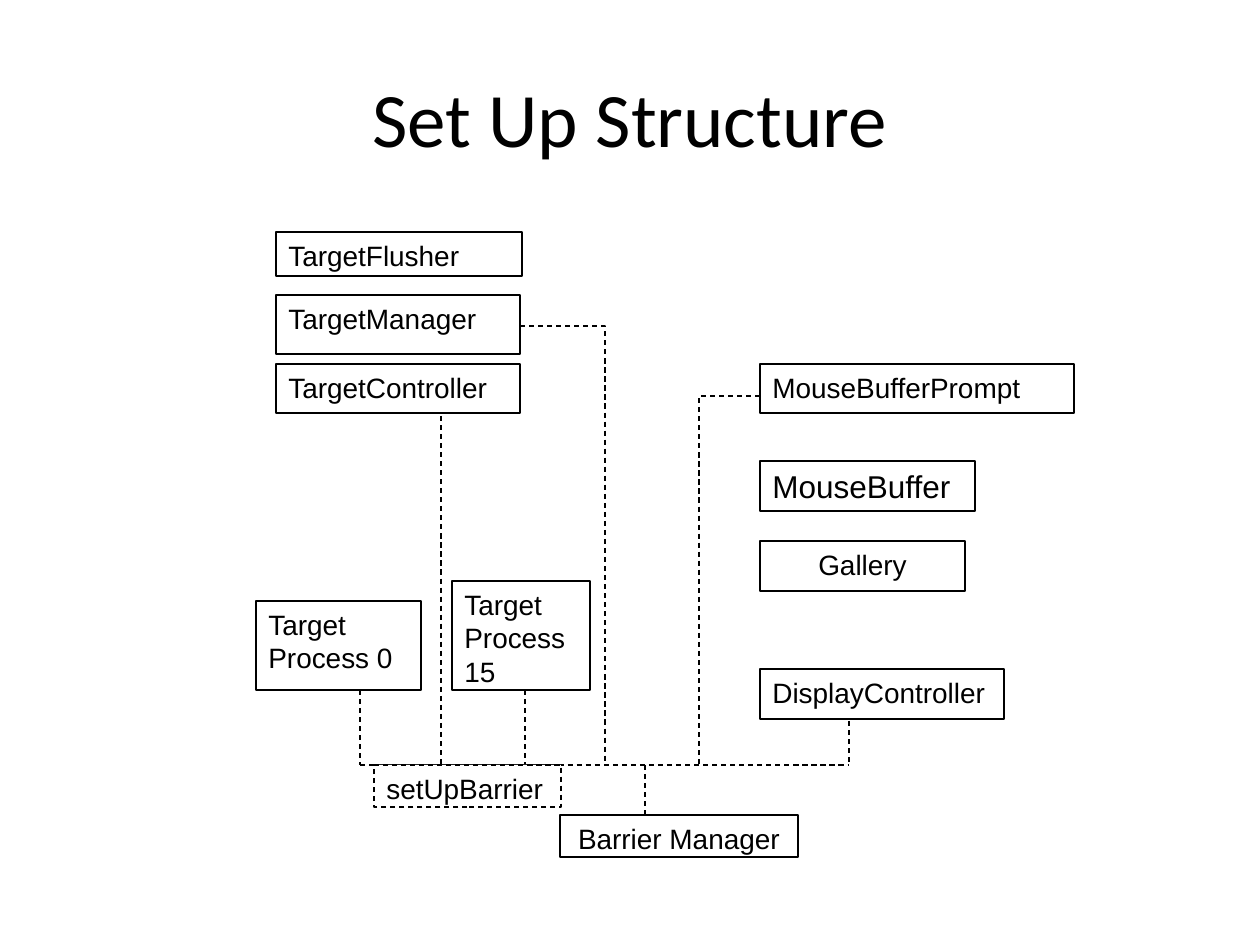
from pptx import Presentation
from pptx.dml.color import RGBColor
from pptx.enum.dml import MSO_LINE
from pptx.enum.shapes import MSO_CONNECTOR, MSO_SHAPE
from pptx.enum.text import MSO_ANCHOR, PP_ALIGN
from pptx.oxml.ns import qn
from pptx.util import Pt
from lxml import etree

SCALE = 914400 / 126
COLORS = {"ink": "000000", "paper": "FFFFFF"}
DASH = MSO_LINE.DASH
LEFT, CENTER = PP_ALIGN.LEFT, PP_ALIGN.CENTER
TOP, MIDDLE = MSO_ANCHOR.TOP, MSO_ANCHOR.MIDDLE
RECT, STRAIGHT = MSO_SHAPE.RECTANGLE, MSO_CONNECTOR.STRAIGHT

BUS_Y = 533
NODES = [
    ("TargetFlusher", (20, 0, 246, 44), 16, LEFT),
    ("TargetManager", (20, 63, 244, 59), 16, LEFT),
    ("TargetController", (20, 132, 244, 49), 16, LEFT),
    ("Target\vProcess 0", (0, 369, 165, 89), 16, LEFT),
    ("Target\vProcess 15", (196, 349, 138, 109), 16, LEFT),
    ("MouseBufferPrompt", (504, 132, 314, 49), 16, LEFT),
    ("MouseBuffer", (504, 229, 215, 50), 18, LEFT),
    ("Gallery", (504, 309, 205, 50), 16, CENTER),
    ("DisplayController", (504, 437, 244, 50), 16, LEFT),
    ("Barrier Manager", (304, 583, 238, 42), 16, CENTER),
]
BARRIER = ("setUpBarrier", (118, BUS_Y, 187, 42), 16, LEFT)
BUS_SPAN = (104, 593)
DROPS = [(389, 583), (104, 458), (269, 458), (593, 489), (185, 184)]
ELBOWS = [(264, 94, 349), (504, 164, 443)]


def emu(*px):
    """Turn pixel lengths into EMU."""
    return [round(v * SCALE) for v in px]


def rgb(name):
    """Return a named colour."""
    return RGBColor.from_string(COLORS[name])


def write(tf, text, size, font, align, anchor):
    """Write one paragraph, breaking lines at vertical tabs."""
    tf.word_wrap = True
    tf.vertical_anchor = anchor
    p = tf.paragraphs[0]
    p.alignment = align
    for i, part in enumerate(text.split("\v")):
        if i:
            p.add_line_break()
        r = p.add_run()
        r.text = part
        r.font.size = Pt(size)
        r.font.name = font
        r.font.color.rgb = rgb("ink")


def stroke(sp, dashed=False):
    """Give a shape the thin dark line."""
    sp.line.color.rgb = rgb("ink")
    sp.line.width = Pt(0.75)
    if dashed:
        sp.line.dash_style = DASH


def add_node(s, x, y, node, dashed=False):
    """Add one labelled box relative to the diagram corner."""
    text, (dx, dy, w, h), size, align = node
    sp = s.shapes.add_shape(RECT, *emu(x + dx, y + dy, w, h))
    sp.shadow.inherit = False
    sp.fill.solid()
    sp.fill.fore_color.rgb = rgb("paper")
    stroke(sp, dashed)
    write(sp.text_frame, text, size, "Arial", align, TOP)


def add_wire(s, x, y, x1, y1, x2, y2):
    """Add a straight dashed wire."""
    wire = s.shapes.add_connector(STRAIGHT, *emu(x + x1, y + y1, x + x2, y + y2))
    stroke(wire, True)
    etree.SubElement(wire._element.spPr, qn("a:effectLst"))


def add_elbow(s, x, y, x1, y1, x2):
    """Add a dashed wire that turns down to the bus."""
    points = [(x1, y1), (x2, y1), (x2, BUS_Y)]
    start, *rest = [emu(x + px, y + py) for px, py in points]
    builder = s.shapes.build_freeform(*start, scale=1.0)
    builder.add_line_segments(rest, close=False)
    sp = builder.convert_to_shape()
    sp.shadow.inherit = False
    sp.fill.background()
    stroke(sp, True)


def add_title(s, x, y, w, h):
    """Add the slide title."""
    box = s.shapes.add_textbox(*emu(x, y, w, h))
    write(box.text_frame, "Set Up Structure", 44, "Calibri", CENTER, MIDDLE)


def add_diagram(s, x, y):
    """Add the boxes and the wires that join them to the barrier."""
    for node in NODES:
        add_node(s, x, y, node)
    add_wire(s, x, y, BUS_SPAN[0], BUS_Y, BUS_SPAN[1], BUS_Y)
    for dx, end in DROPS:
        add_wire(s, x, y, dx, min(end, BUS_Y), dx, max(end, BUS_Y))
    for elbow in ELBOWS:
        add_elbow(s, x, y, *elbow)
    add_node(s, x, y, BARRIER, dashed=True)


def main():
    """Build and save the slide."""
    prs = Presentation()
    prs.slide_width, prs.slide_height = emu(1260, 945)
    s = prs.slides.add_slide(prs.slide_layouts[6])
    add_title(s, 63, 38, 1134, 158)
    add_diagram(s, 256, 232)
    prs.save("out.pptx")


main()
